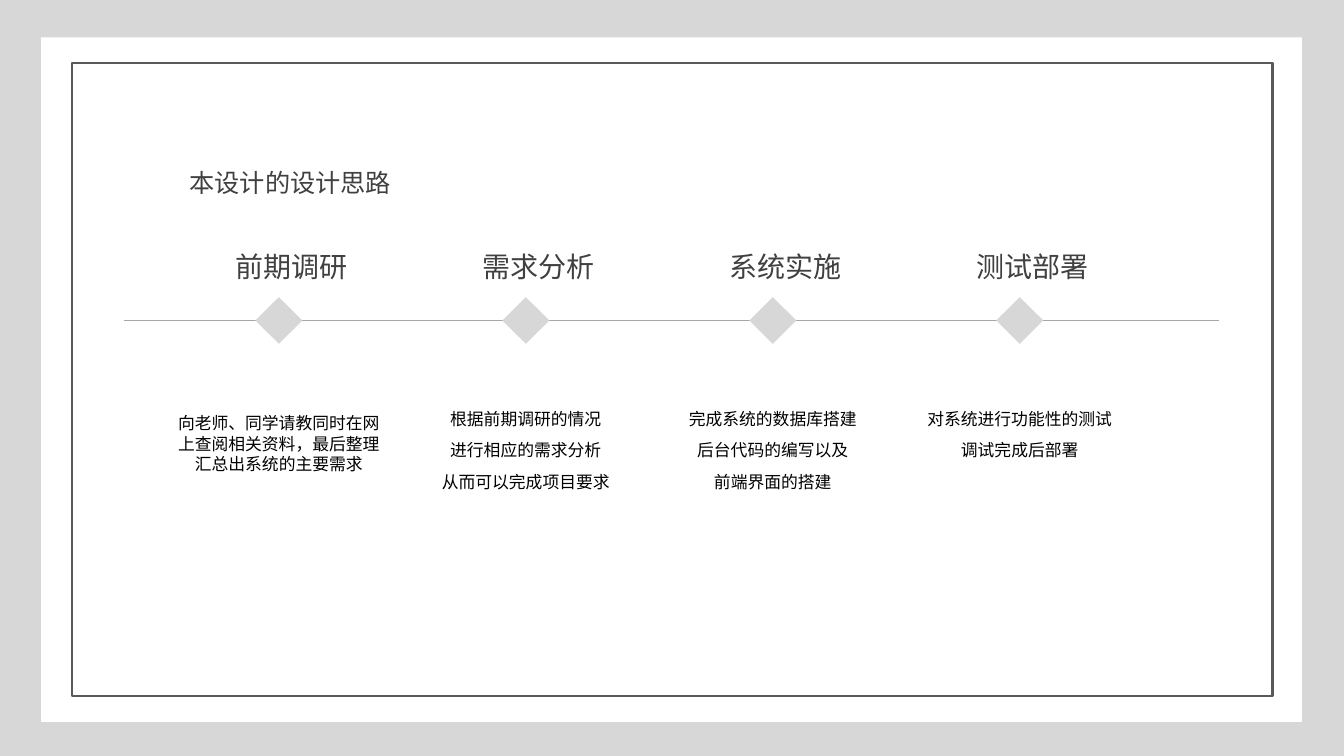
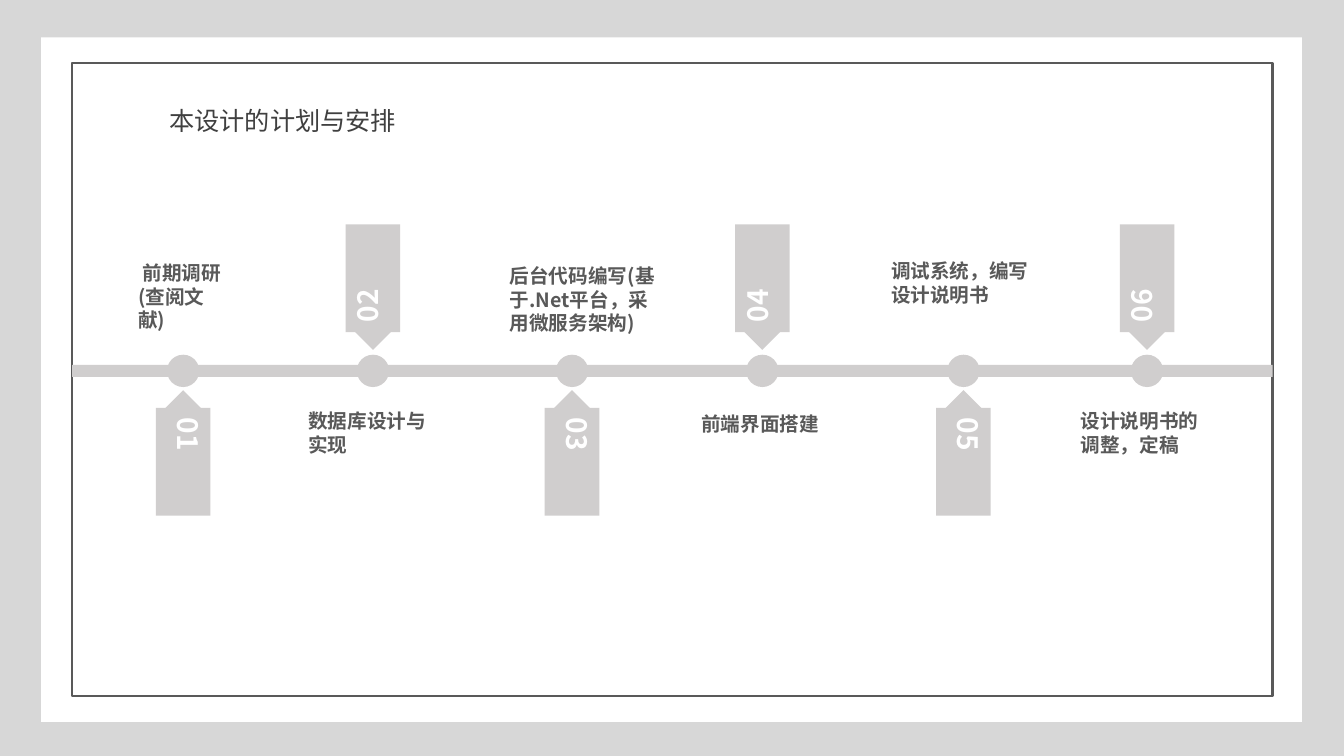
from dataclasses import dataclass

from pptx import Presentation
from pptx.dml.color import RGBColor
from pptx.enum.shapes import MSO_CONNECTOR, MSO_SHAPE
from pptx.enum.text import MSO_ANCHOR, MSO_AUTO_SIZE, PP_ALIGN
from pptx.oxml.ns import qn
from pptx.util import Inches, Pt

WIDTH, HEIGHT = Inches(13.33), Inches(7.5)
COLUMNS, ROWS = 160, 90
FONT = "Noto Sans CJK SC"
LEADING = 1.2
COLOURS = {
    "backdrop": "D7D7D7", "mat": "FFFFFF", "frame": "595959", "axis": "A6A6A6",
    "marker": "D7D7D7", "stop": "D0CECE",
}
TITLE = {"size": 18, "color": "404040"}
HEADING = {"size": 20, "color": "404040"}
BODY = {"size": 12, "color": "000000"}
LABEL = {"size": 14, "color": "595959", "bold": True}
NUMBER = {"size": 20, "color": "FFFFFF", "bold": True}


@dataclass
class Box:
    left: float
    top: float
    width: float
    height: float

    def inner(self, left, top, width, height):
        return Box(self.left + left, self.top + top, width, height)

    def centred(self, column, row, width, height):
        return self.inner(column - width / 2, row - height / 2, width, height)

    def lengths(self):
        return (across(self.left), down(self.top), across(self.width), down(self.height))


SHEET = Box(0, 0, COLUMNS, ROWS)
MAT = Box(4.9, 4.45, 150.1, 81.5)
FRAME = Box(8.6, 7.55, 142.9, 75.35)

STEPS = [
    ("前期调研", 0.5, ["向老师、同学请教同时在网上查阅相关资料，最后整理汇总出系统的主要需求"]),
    ("需求分析", 0, ["根据前期调研的情况", "进行相应的需求分析", "从而可以完成项目要求"]),
    ("系统实施", 0, ["完成系统的数据库搭建", "后台代码的编写以及", "前端界面的搭建"]),
    ("测试部署", 0, ["对系统进行功能性的测试", "调试完成后部署"]),
]
STOPS = [
    (13.2, " 前期调研(查阅文献)", (-6.55, -13.55, 13.2, 6.85)),
    (35.8, "数据库设计与实现", (-8.9, 4.05, 17.8, 6.85)),
    (59.5, "后台代码编写(基于.Net平台，采用微服务架构)", (-8.6, -13.2, 19.9, 9.7)),
    (82.15, "前端界面搭建", (-8.45, 4.45, 16.8, 4.05)),
    (106.1, "调试系统，编写设计说明书", (-9.8, -13.8, 19.45, 6.85)),
    (127.95, "设计说明书的调整，定稿", (-9.1, 4.05, 18.6, 6.85)),
]


def across(columns):
    return round(WIDTH * columns / COLUMNS)


def down(rows):
    return round(HEIGHT * rows / ROWS)


def colour(value):
    return RGBColor.from_string(value)


def apply(target, values):
    for name, value in values.items():
        setattr(target, name, value)


def add_figure(page, kind, box, fill=None, line=None, rotation=0):
    figure = page.shapes.add_shape(kind, *box.lengths())
    figure.shadow.inherit = False
    figure.rotation = rotation
    if fill:
        figure.fill.solid()
        figure.fill.fore_color.rgb = colour(fill)
    else:
        figure.fill.background()
    if line:
        figure.line.color.rgb = colour(line)
        figure.line.width = Pt(1.5)
    else:
        figure.line.fill.background()
    return figure


def write(frame, lines, style, align=PP_ALIGN.LEFT, gap=0):
    for index, line in enumerate(lines):
        para = frame.add_paragraph() if index else frame.paragraphs[0]
        apply(para, {
            "alignment": align,
            "line_spacing": Pt(style["size"] * LEADING),
            "space_before": Pt(gap if index else 0),
        })
        span = para.add_run()
        span.text = line
        apply(span.font, {
            "name": FONT, "size": Pt(style["size"]), "bold": style.get("bold", False),
        })
        span.font.color.rgb = colour(style["color"])
        properties = span._r.get_or_add_rPr()
        east = properties.makeelement(qn("a:ea"), {"typeface": FONT})
        properties.find(qn("a:latin")).addnext(east)


def add_text(page, box, lines, style, wrap=True, **layout):
    frame = page.shapes.add_textbox(*box.lengths()).text_frame
    apply(frame, {"word_wrap": wrap, "auto_size": MSO_AUTO_SIZE.SHAPE_TO_FIT_TEXT})
    write(frame, lines, style, **layout)
    return frame


def add_title(page, box, text, align=PP_ALIGN.LEFT):
    frame = add_text(page, box, [text], TITLE, align=align)
    apply(frame, {
        "margin_left": Inches(0.08), "margin_right": Inches(0.08),
        "margin_top": Inches(0.04), "margin_bottom": Inches(0.04),
    })


def add_page(deck):
    page = deck.slides.add_slide(deck.slide_layouts[6])
    add_figure(page, MSO_SHAPE.RECTANGLE, SHEET, COLOURS["backdrop"])
    add_figure(page, MSO_SHAPE.RECTANGLE, MAT, COLOURS["mat"])
    add_figure(page, MSO_SHAPE.RECTANGLE, FRAME, line=COLOURS["frame"])
    return page


def add_axis(page, box):
    row = down(box.top + 9.1)
    axis = page.shapes.add_connector(
        MSO_CONNECTOR.STRAIGHT, across(box.left), row, across(box.left + box.width), row)
    axis.line.color.rgb = colour(COLOURS["axis"])
    axis.line.width = Pt(0.5)
    properties = axis._element.spPr
    properties.append(properties.makeelement(qn("a:effectLst"), {}))


def add_step(page, box, heading, drop, lines):
    middle = box.width / 2
    add_figure(page, MSO_SHAPE.DIAMOND, box.centred(middle, 9.1, 5.6, 5.55),
               COLOURS["marker"])
    add_text(page, box.centred(middle + 1.6, 2.65, 15.85, 5.25), [heading], HEADING,
             wrap=False)
    add_text(page, box.inner(0, 19.05 + drop, box.width, 11.1), lines, BODY,
             align=PP_ALIGN.CENTER, gap=7.9)


def add_approach(page, box):
    add_axis(page, box)
    width, gap = 27.7, 1.7
    for index, step in enumerate(STEPS):
        cell = box.inner(4.6 + index * (width + gap), 0, width, box.height)
        add_step(page, cell, *step)


def add_tag(page, box, column, row, number):
    side = 1 if number % 2 else -1
    add_figure(page, MSO_SHAPE.PENTAGON,
               box.centred(column, row + side * 8.45, 12.1, 5.05),
               COLOURS["stop"], rotation=270 if side > 0 else 90)
    tag = add_figure(page, MSO_SHAPE.RECTANGLE,
                     box.centred(column, row + side * 10.93, 6.5, 12.85),
                     COLOURS["stop"], rotation=0 if side > 0 else 180)
    frame = tag.text_frame
    apply(frame, {"vertical_anchor": MSO_ANCHOR.TOP, "word_wrap": True})
    frame._txBody.bodyPr.set("vert", "eaVert")
    write(frame, [f"{number:02d}"], NUMBER)


def add_schedule(page, box):
    row = 36.5
    add_figure(page, MSO_SHAPE.RECTANGLE,
               box.centred(box.width / 2, row + 0.1, box.width, 1.45), COLOURS["stop"])
    for number, (column, label, place) in enumerate(STOPS, 1):
        add_figure(page, MSO_SHAPE.OVAL, box.centred(column, row + 0.1, 3.85, 3.85),
                   COLOURS["stop"])
        left, top, width, height = place
        add_text(page, box.inner(column + left, row + top, width, height), [label], LABEL)
        add_tag(page, box, column, row, number)


def main():
    deck = Presentation()
    apply(deck, {"slide_width": WIDTH, "slide_height": HEIGHT})

    page = add_page(deck)
    add_title(page, Box(21.6, 19.45, 29.65, 4.55), "本设计的设计思路")
    add_approach(page, Box(14.75, 29.05, 130.35, 30.2))

    page = add_page(deck)
    add_schedule(page, FRAME)
    add_title(page, Box(19.2, 12.1, 29.65, 4.55), "本设计的计划与安排", PP_ALIGN.JUSTIFY)

    deck.save("out.pptx")


if __name__ == "__main__":
    main()
